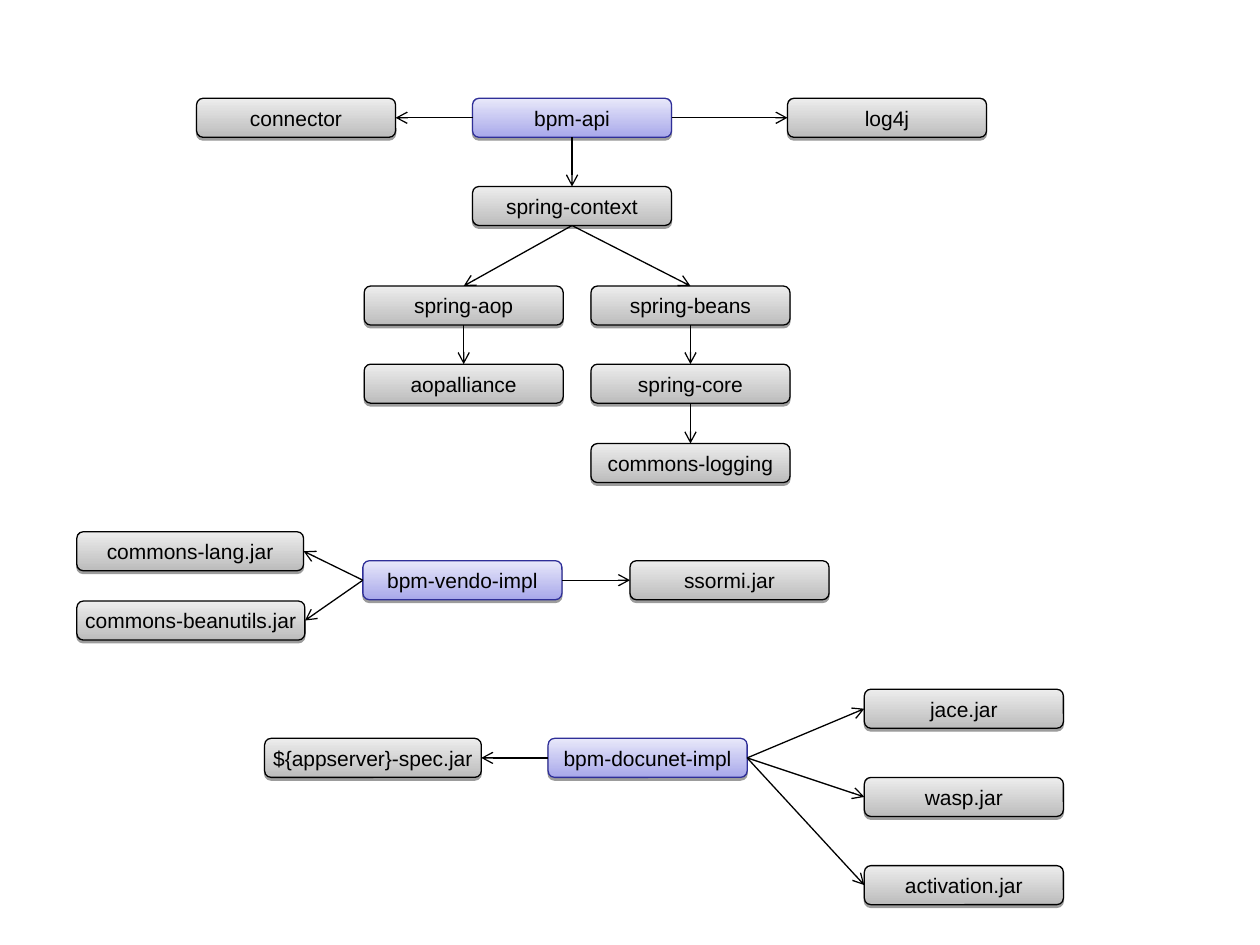
import pptx
import pptx.dml.color
import pptx.enum.shapes
import pptx.enum.text
import pptx.oxml
import pptx.oxml.ns
import pptx.util

Inches = pptx.util.Inches
Pt = pptx.util.Pt
RGBColor = pptx.dml.color.RGBColor

BLACK = RGBColor(0x00, 0x00, 0x00)
NAVY = RGBColor(0x2F, 0x2F, 0x98)
GREY_DARK = RGBColor(0xBC, 0xBC, 0xBC)
GREY_LIGHT = RGBColor(0xED, 0xED, 0xED)
BLUE_DARK = RGBColor(0xA8, 0xA8, 0xEA)
BLUE_LIGHT = RGBColor(0xE8, 0xE8, 0xFA)

LIBRARY = {"stops": (GREY_DARK, GREY_LIGHT), "line": BLACK}
MODULE = {"stops": (BLUE_DARK, BLUE_LIGHT), "line": NAVY}
TOP, LEFT, BOTTOM, RIGHT = range(4)
BOX_W, BOX_H = 1.58, 0.31

SHADOW_XML = (
    '<a:outerShdw %s blurRad="0" dist="20320" dir="5400000" rotWithShape="0">'
    '<a:srgbClr val="000000"><a:alpha val="38000"/></a:srgbClr></a:outerShdw>'
) % pptx.oxml.ns.nsdecls("a")
EFFECTS_XML = "<a:effectLst %s/>" % pptx.oxml.ns.nsdecls("a")
ARROW_XML = '<a:tailEnd %s type="arrow"/>' % pptx.oxml.ns.nsdecls("a")

MODULES = [
    ("bpm-api", 3.75, 0.78),
    ("bpm-vendo-impl", 2.88, 4.45),
    ("bpm-docunet-impl", 4.35, 5.86),
]
LIBRARIES = [
    ("connector", 1.56, 0.78, BOX_W),
    ("log4j", 6.25, 0.78, BOX_W),
    ("spring-context", 3.75, 1.48, BOX_W),
    ("spring-aop", 2.89, 2.27, BOX_W),
    ("spring-beans", 4.69, 2.27, BOX_W),
    ("aopalliance", 2.89, 2.89, BOX_W),
    ("spring-core", 4.69, 2.89, BOX_W),
    ("commons-logging", 4.69, 3.52, BOX_W),
    ("ssormi.jar", 5, 4.45, BOX_W),
    ("commons-lang.jar", 0.61, 4.22, 1.8),
    ("commons-beanutils.jar", 0.61, 4.77, 1.81),
    ("${appserver}-spec.jar", 2.1, 5.86, 1.72),
    ("jace.jar", 6.86, 5.47, BOX_W),
    ("wasp.jar", 6.86, 6.17, BOX_W),
    ("activation.jar", 6.86, 6.87, BOX_W),
]
DEPENDENCIES = [
    ("bpm-api", LEFT, ["connector"]),
    ("bpm-api", RIGHT, ["log4j"]),
    ("bpm-api", BOTTOM, ["spring-context"]),
    ("spring-context", BOTTOM, ["spring-aop", "spring-beans"]),
    ("spring-aop", BOTTOM, ["aopalliance"]),
    ("spring-beans", BOTTOM, ["spring-core"]),
    ("spring-core", BOTTOM, ["commons-logging"]),
    ("bpm-vendo-impl", LEFT, ["commons-lang.jar", "commons-beanutils.jar"]),
    ("bpm-vendo-impl", RIGHT, ["ssormi.jar"]),
    ("bpm-docunet-impl", LEFT, ["${appserver}-spec.jar"]),
    ("bpm-docunet-impl", RIGHT, ["jace.jar", "wasp.jar", "activation.jar"]),
]


class DependencyDiagram:
    frame = {
        "word_wrap": False,
        "vertical_anchor": pptx.enum.text.MSO_ANCHOR.MIDDLE,
        "margin_left": 0,
        "margin_right": 0,
        "margin_top": 0,
        "margin_bottom": 0,
    }
    font = {"name": "Arial", "size": Pt(12)}
    line_width = Pt(0.75)

    def __init__(self, slide):
        self.slide = slide
        self.boxes = {}

    def apply(self, target, values):
        for name, value in values.items():
            setattr(target, name, value)

    def outline(self, line, color):
        line.color.rgb = color
        line.width = self.line_width

    def box(self, text, left, top, width, look):
        sp = self.slide.shapes.add_shape(
            pptx.enum.shapes.MSO_SHAPE.ROUNDED_RECTANGLE,
            Inches(left), Inches(top), Inches(width), Inches(BOX_H))
        sp.fill.gradient()
        sp.fill.gradient_angle = 90
        for stop, color in zip(sp.fill.gradient_stops, look["stops"]):
            stop.color.rgb = color
        self.outline(sp.line, look["line"])
        sp.shadow.inherit = False
        effects = sp._element.spPr.find(pptx.oxml.ns.qn("a:effectLst"))
        effects.append(pptx.oxml.parse_xml(SHADOW_XML))
        tf = sp.text_frame
        self.apply(tf, self.frame)
        p = tf.paragraphs[0]
        p.alignment = pptx.enum.text.PP_ALIGN.CENTER
        r = p.add_run()
        r.text = text
        self.apply(r.font, self.font)
        r.font.color.rgb = BLACK
        self.boxes[text] = sp

    def arrow(self, source, side, target):
        cxn = self.slide.shapes.add_connector(
            pptx.enum.shapes.MSO_CONNECTOR.STRAIGHT, 0, 0, 0, 0)
        cxn.begin_connect(self.boxes[source], side)
        cxn.end_connect(self.boxes[target], (side + 2) % 4)
        self.outline(cxn.line, BLACK)
        cxn.line._get_or_add_ln().append(pptx.oxml.parse_xml(ARROW_XML))
        cxn._element.spPr.append(pptx.oxml.parse_xml(EFFECTS_XML))


def main():
    prs = pptx.Presentation()
    prs.slide_width = Inches(10)
    prs.slide_height = Inches(7.5)
    s = prs.slides.add_slide(prs.slide_layouts[6])
    diagram = DependencyDiagram(s)
    for text, left, top in MODULES:
        diagram.box(text, left, top, BOX_W, MODULE)
    for text, left, top, width in LIBRARIES:
        diagram.box(text, left, top, width, LIBRARY)
    for source, side, targets in DEPENDENCIES:
        for target in targets:
            diagram.arrow(source, side, target)
    prs.save("out.pptx")


if __name__ == "__main__":
    main()
